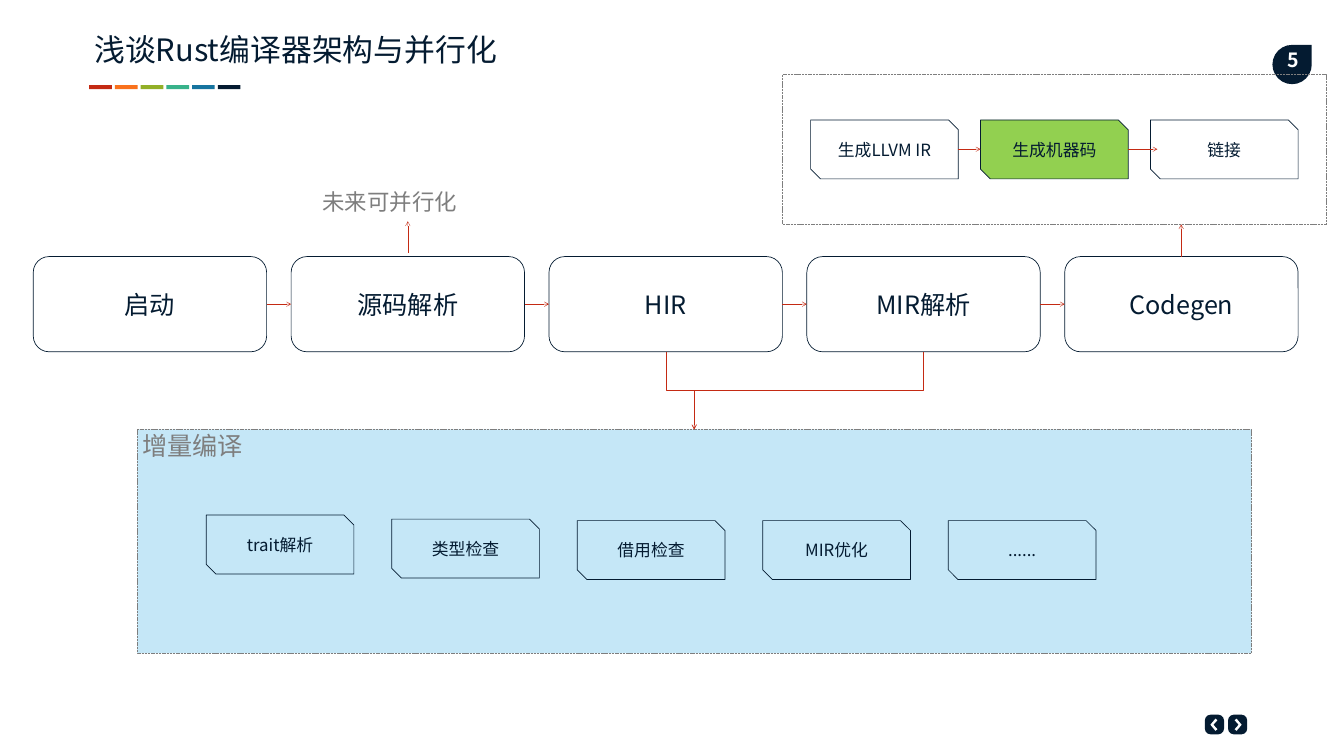
from lxml.etree import SubElement
from pptx import Presentation
from pptx.dml.color import RGBColor
from pptx.enum.dml import MSO_LINE as Dash
from pptx.enum.shapes import MSO_CONNECTOR as Link, MSO_SHAPE as Kind
from pptx.enum.text import MSO_ANCHOR as Anchor, PP_ALIGN as Align
from pptx.oxml.ns import qn
from pptx.util import Inches, Pt

FONT = "Noto Sans CJK SC"
NAVY = RGBColor(0x04, 0x1B, 0x31)
WHITE = RGBColor(0xFF, 0xFF, 0xFF)
GRAY = RGBColor(0x7E, 0x7E, 0x7E)
RED = RGBColor(0xC4, 0x2A, 0x13)
ORANGE = RGBColor(0xF9, 0x71, 0x1C)
OLIVE = RGBColor(0x92, 0xAF, 0x27)
TEAL = RGBColor(0x38, 0xB2, 0x8A)
BLUE = RGBColor(0x16, 0x74, 0x9F)
GREEN = RGBColor(0x92, 0xD0, 0x50)
SKY = RGBColor(0xC5, 0xE7, 0xF7)

STAGES = ["启动", "源码解析", "HIR", "MIR解析", "Codegen"]
STAGE_TOP, STAGE_W, STAGE_H = 5.09, 4.63, 1.89
BACKEND = [("生成LLVM IR", None), ("生成机器码", GREEN), ("链接", None)]
CHECKS = [("trait解析", 10.22), ("类型检查", 10.3), ("借用检查", 10.33),
          ("MIR优化", 10.33), ("......", 10.33)]
CARD_W, CARD_H = 2.93, 1.17


def write(frame, text, size, color, align=Align.LEFT, bold=False):
    para = frame.paragraphs[0]
    para.alignment = align
    run = para.add_run()
    run.text = text
    font = run.font
    font.size, font.bold, font.name = Pt(size), bold, FONT
    font.color.rgb = color
    SubElement(font._element, qn("a:ea"), typeface=FONT)


def paint(shape, fill=None, line=None, dash=None):
    shape.shadow.inherit = False
    if fill is None:
        shape.fill.background()
    else:
        shape.fill.solid()
        shape.fill.fore_color.rgb = fill
    if line is None:
        shape.line.fill.background()
    else:
        shape.line.color.rgb = line
        shape.line.width = Pt(1)
        if dash:
            shape.line.dash_style = dash


def add_box(slide, kind, area, **look):
    shape = slide.shapes.add_shape(kind, *map(Inches, area))
    paint(shape, **look)
    return shape


def add_node(slide, kind, area, text, size, fill=None):
    node = add_box(slide, kind, area, fill=fill, line=NAVY)
    node.text_frame.vertical_anchor = Anchor.MIDDLE
    write(node.text_frame, text, size, NAVY, Align.CENTER)
    return node


def add_card(slide, left, top, text, fill=None):
    area = (left, top, CARD_W, CARD_H)
    return add_node(slide, Kind.SNIP_2_DIAG_RECTANGLE, area, text, 24, fill)


def add_label(slide, area, text, size):
    box = slide.shapes.add_textbox(*map(Inches, area))
    box.text_frame.word_wrap = True
    box.text_frame.paragraphs[0].line_spacing = 0.9
    write(box.text_frame, text, size, GRAY)


def add_arrow(slide, start, end, kind=Link.STRAIGHT):
    arrow = slide.shapes.add_connector(kind, *map(Inches, start + end))
    arrow.line.color.rgb = RED
    arrow.line.width = Pt(0.5)
    SubElement(arrow.line._get_or_add_ln(), qn("a:tailEnd"), type="arrow")
    SubElement(arrow._element.spPr, qn("a:effectLst"))
    return arrow


def add_drop(slide, start, end):
    """Elbow arrow that leaves and arrives vertically: an elbow turned by 90 degrees."""
    (x1, y1), (x2, y2) = start, end
    mid_x, mid_y = (x1 + x2) / 2, (y1 + y2) / 2
    half_w, half_h = (y2 - y1) / 2, (x2 - x1) / 2
    arrow = add_arrow(slide, (mid_x - half_w, mid_y + half_h),
                      (mid_x + half_w, mid_y - half_h), Link.ELBOW)
    arrow._element.spPr.find(qn("a:xfrm")).set("rot", str(90 * 60000))


def add_button(slide, left, way):
    """Round button with a chevron; way is -1 for back and 1 for next."""
    add_box(slide, Kind.ROUNDED_RECTANGLE, (left, 14.18, 0.38, 0.39),
            fill=NAVY).adjustments[0] = 0.3
    mid = left + 0.19 + 0.01 * way
    half = [(0.07, 0), (-0.03, -0.12), (-0.07, -0.09), (0.01, 0),
            (-0.07, 0.09), (-0.03, 0.12)]
    dots = [(Inches(mid + way * x), Inches(14.38 + y)) for x, y in half]
    pen = slide.shapes.build_freeform(*dots[0])
    pen.add_line_segments(dots[1:], close=True)
    paint(pen.convert_to_shape(), fill=WHITE)


def add_title(slide, text):
    title = slide.shapes.title
    title.left, title.top = Inches(1.77), Inches(0.65)
    title.width, title.height = Inches(13.52), Inches(0.84)
    title.text_frame.vertical_anchor = Anchor.TOP
    title.text_frame.word_wrap = True
    title.text_frame.paragraphs[0].line_spacing = 0.9
    write(title.text_frame, text, 44, NAVY)
    for i, color in enumerate([RED, ORANGE, OLIVE, TEAL, BLUE, NAVY]):
        add_box(slide, Kind.RECTANGLE, (1.77 + 0.51 * i, 1.69, 0.45, 0.08), fill=color)


def add_badge(slide, text):
    add_box(slide, Kind.TEAR, (25.24, 0.89, 0.78, 0.78), fill=NAVY)
    box = slide.shapes.add_textbox(*map(Inches, (25.16, 0.9, 0.97, 0.67)))
    frame = box.text_frame
    frame.margin_left = frame.margin_right = Inches(0.2)
    frame.margin_top = frame.margin_bottom = Inches(0.1)
    frame.paragraphs[0].line_spacing = 0.9
    write(frame, text, 28, WHITE, Align.CENTER, bold=True)


def add_stages(slide):
    nodes = []
    for i, text in enumerate(STAGES):
        area = (0.66 + 5.115 * i, STAGE_TOP, STAGE_W, STAGE_H)
        nodes.append(add_node(slide, Kind.ROUNDED_RECTANGLE, area, text, 36))
    for left, right in zip(nodes, nodes[1:]):
        arrow = add_arrow(slide, (0, 0), (1, 0))
        arrow.begin_connect(left, 3)
        arrow.end_connect(right, 1)
    add_label(slide, (6.3, 3.75, 3.58, 0.64), "未来可并行化", 32)
    add_arrow(slide, (8.09, 5.02), (8.09, 4.39))


def add_backend(slide):
    for i, (text, fill) in enumerate(BACKEND):
        add_card(slide, 16.08 + 3.37 * i, 2.38, text, fill)
    add_arrow(slide, (19.01, 2.96), (19.45, 2.96))
    add_arrow(slide, (22.38, 2.96), (22.96, 2.96))
    add_arrow(slide, (23.43, STAGE_TOP), (23.43, 4.45))
    add_box(slide, Kind.RECTANGLE, (15.52, 1.48, 10.79, 2.98),
            line=GRAY, dash=Dash.SQUARE_DOT)


def add_checks(slide):
    add_box(slide, Kind.RECTANGLE, (2.72, 8.52, 22.11, 4.44),
            fill=SKY, line=GRAY, dash=Dash.SQUARE_DOT)
    add_label(slide, (2.72, 8.55, 8.89, 0.71), "增量编译", 36)
    for i, (text, top) in enumerate(CHECKS):
        add_card(slide, 4.09 + 3.68 * i, top, text)
    for x in (13.21, 18.32):
        add_drop(slide, (x, STAGE_TOP + STAGE_H), (13.77, 8.52))


def main():
    deck = Presentation()
    deck.slide_width, deck.slide_height = Inches(26.66), Inches(15)
    slide = deck.slides.add_slide(deck.slide_layouts[5])
    add_button(slide, 23.9, -1)
    add_button(slide, 24.36, 1)
    add_badge(slide, "5")
    add_title(slide, "浅谈Rust编译器架构与并行化")
    add_stages(slide)
    add_backend(slide)
    add_checks(slide)
    deck.save("out.pptx")


if __name__ == "__main__":
    main()
